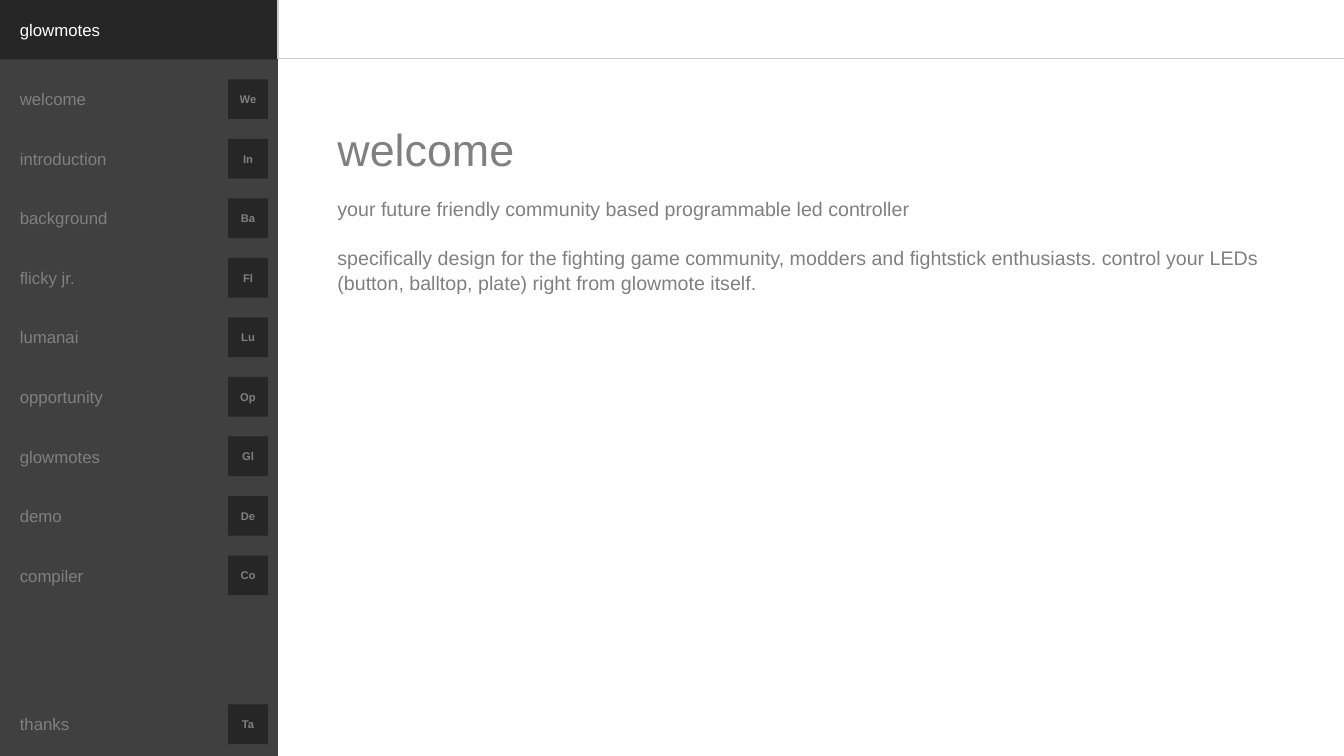
from pptx import Presentation
from pptx.dml.color import RGBColor
from pptx.enum.shapes import MSO_SHAPE
from pptx.enum.text import MSO_ANCHOR, MSO_AUTO_SIZE, PP_ALIGN
from pptx.util import Cm, Inches, Pt
from lxml import etree

WHITE = RGBColor(0xFF, 0xFF, 0xFF)
RULE = RGBColor(0xD0, 0xCE, 0xCE)
GRAY = RGBColor(0x80, 0x80, 0x80)
PANEL = RGBColor(0x40, 0x40, 0x40)
DARK = RGBColor(0x26, 0x26, 0x26)

UNIT = Cm(0.5)  # grid step
SIDEBAR = 14 * UNIT
ROW = 3 * UNIT
CONTENT_LEFT, CONTENT_WIDTH = 16 * UNIT, int(49.8 * UNIT)

deck = Presentation()
deck.slide_width, deck.slide_height = Inches(13.33), Inches(7.5)
page = deck.slides.add_slide(deck.slide_layouts[1])


def add_block(left, top, width, height, fill):
    box = page.shapes.add_shape(
        MSO_SHAPE.RECTANGLE, int(left), int(top), int(width), int(height))
    box.shadow.inherit = False
    box.fill.solid()
    box.fill.fore_color.rgb = fill
    box.line.fill.background()
    return box


def add_words(para, words, size, color, align=PP_ALIGN.LEFT, bold=False):
    para.alignment = align
    span = para.add_run()
    span.text = words
    span.font.name = "Arial"
    span.font.size = Pt(size)
    span.font.bold = bold
    span.font.color.rgb = color


# Title and body text
title, body = page.placeholders
for box, top, height in ((title, 0.98, 0.77), (body, 1.75, 5.36)):
    box.left, box.width = CONTENT_LEFT, CONTENT_WIDTH
    box.top, box.height = Inches(top), Inches(height)
    frame = box.text_frame
    frame.word_wrap = True
    frame.auto_size = MSO_AUTO_SIZE.NONE
    frame.vertical_anchor = MSO_ANCHOR.TOP
    frame.margin_left = frame.margin_right = UNIT
    frame.margin_top = frame.margin_bottom = UNIT

heading = title.text_frame.paragraphs[0]
heading.line_spacing = 1.05
add_words(heading, "welcome", 32, GRAY)

paragraphs = [
    "your future friendly community based programmable led controller",
    "specifically design for the fighting game community, modders and "
    "fightstick enthusiasts. control your LEDs (button, balltop, plate) "
    "right from glowmote itself.",
]
for index, words in enumerate(paragraphs):
    para = body.text_frame.paragraphs[0] if index == 0 else body.text_frame.add_paragraph()
    para.line_spacing = 1.05
    para.space_before = Pt(17 * index)
    add_words(para, words, 14, GRAY)
    # No bullet, no indent
    props = para._p.get_or_add_pPr()
    props.set("marL", "0")
    props.set("indent", "0")
    etree.SubElement(props, "{http://schemas.openxmlformats.org/drawingml/2006/main}buNone")

# Sidebar with its dark heading
add_block(0, 0, SIDEBAR, deck.slide_height, PANEL)
add_block(0, 0, SIDEBAR, ROW, DARK)
brand = page.shapes.add_textbox(UNIT // 2, UNIT // 2, 12 * UNIT, 2 * UNIT)
brand.text_frame.word_wrap = True
brand.text_frame.vertical_anchor = MSO_ANCHOR.MIDDLE
add_words(brand.text_frame.paragraphs[0], "glowmotes", 12, WHITE)

# Menu entries, one per row, with the closing entry at the foot
entries = [
    ("welcome", "We"), ("introduction", "In"), ("background", "Ba"),
    ("flicky jr.", "Fl"), ("lumanai", "Lu"), ("opportunity", "Op"),
    ("glowmotes", "Gl"), ("demo", "De"), ("compiler", "Co"),
]
menu = [(4 * UNIT + row * ROW, *entry) for row, entry in enumerate(entries)]
menu.append((35.5 * UNIT, "thanks", "Ta"))
for top, name, symbol in menu:
    label = add_block(0.5 * UNIT, top, 12 * UNIT, 2 * UNIT, PANEL)
    add_words(label.text_frame.paragraphs[0], name, 12, GRAY)
    badge = add_block(11.5 * UNIT, top, 2 * UNIT, 2 * UNIT, DARK)
    badge.text_frame.margin_left = badge.text_frame.margin_right = 0
    add_words(badge.text_frame.paragraphs[0], symbol, 8, GRAY, PP_ALIGN.CENTER, True)

# Top bar with a thin outline
bar = add_block(SIDEBAR, Inches(-0.01), Inches(10.6), ROW, WHITE)
bar.line.color.rgb = RULE
bar.line.width = Pt(1)

deck.save("out.pptx")
